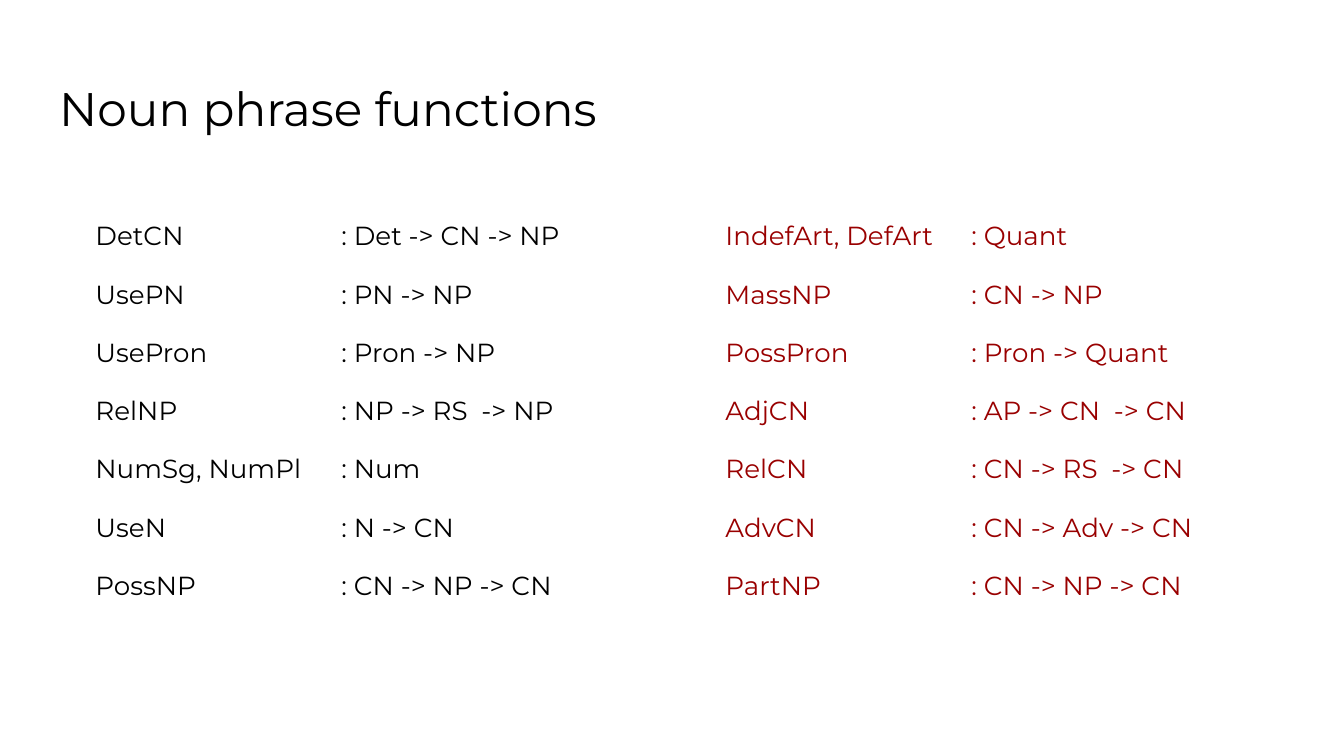
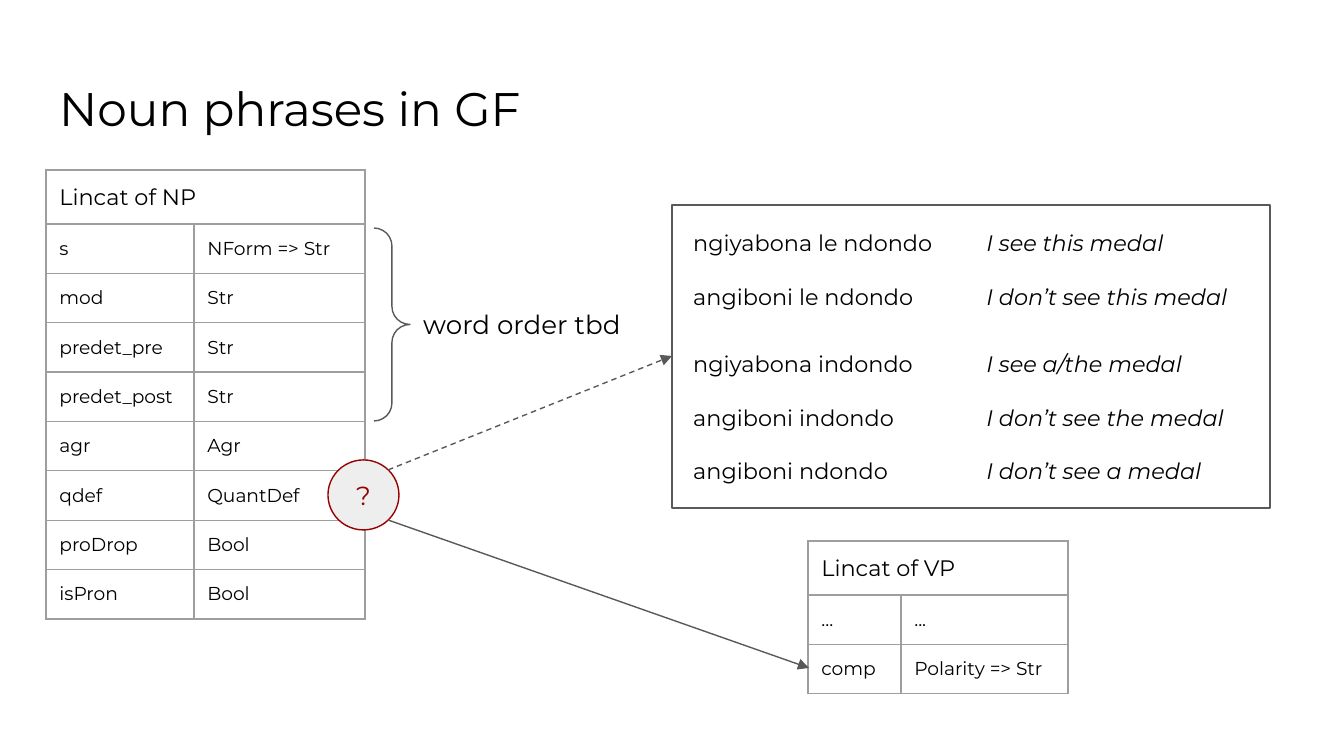
from lxml import etree
from pptx import Presentation
from pptx.dml.color import RGBColor
from pptx.enum.dml import MSO_LINE_DASH_STYLE as Dash
from pptx.enum.shapes import MSO_CONNECTOR as Connector, MSO_SHAPE as Shape
from pptx.enum.text import MSO_ANCHOR as Anchor, PP_ALIGN as Align
from pptx.oxml.ns import qn
from pptx.util import Emu, Pt

COLORS = {
    "text": "000000",
    "highlight": "990000",
    "question": "980000",
    "circle": "EEEEEE",
    "line": "595959",
    "grid": "9E9E9E",
}
FONT = "Montserrat"
LINE_WIDTH = Pt(0.75)
INSET = Pt(7.2)
NO_STYLE = "{2D5ABB26-0587-4C30-8999-92F81FD0307C}"

BLACK_FUNCTIONS = [
    ("DetCN", ": Det -> CN -> NP"),
    ("UsePN", ": PN -> NP"),
    ("UsePron", ": Pron -> NP"),
    ("RelNP", ": NP -> RS  -> NP"),
    ("NumSg, NumPl", ": Num"),
    ("UseN", ": N -> CN"),
    ("PossNP", ": CN -> NP -> CN"),
]
RED_FUNCTIONS = [
    ("IndefArt, DefArt", ": Quant"),
    ("MassNP", ": CN -> NP"),
    ("PossPron", ": Pron -> Quant"),
    ("AdjCN", ": AP -> CN  -> CN"),
    ("RelCN", ": CN -> RS  -> CN"),
    ("AdvCN", ": CN -> Adv -> CN"),
    ("PartNP", ": CN -> NP -> CN"),
]
NP_FIELDS = [
    ("s", "NForm => Str"),
    ("mod", "Str"),
    ("predet_pre", "Str"),
    ("predet_post", "Str"),
    ("agr", "Agr"),
    ("qdef", "QuantDef"),
    ("proDrop", "Bool"),
    ("isPron", "Bool"),
]
VP_FIELDS = [("...", "..."), ("comp", "Polarity => Str")]

# Sentence groups: top, height, (left sentence, right sentence) pairs
SENTENCES = [
    (212, 113, [
        ("ngiyabona le ndondo", "I see this medal"),
        ("angiboni le ndondo", "I don’t see this medal"),
    ]),
    (333, 167, [
        ("ngiyabona indondo", "I see a/the medal"),
        ("angiboni indondo", "I don’t see the medal"),
        ("angiboni ndondo", "I don’t see a medal"),
    ]),
]


def px(length):
    return Emu(round(length * 914400 / 134.4))


def rgb(name):
    return RGBColor.from_string(COLORS[name])


def write(paragraph, text, size, color="text", italic=False):
    run = paragraph.add_run()
    run.text = text
    run.font.name = FONT
    run.font.size = Pt(size)
    run.font.italic = italic
    run.font.color.rgb = rgb(color)


def set_insets(frame):
    frame.margin_left = frame.margin_right = INSET
    frame.margin_top = frame.margin_bottom = INSET


def add_text(slide, box, lines, size, italic=False, spacing=None):
    frame = slide.shapes.add_textbox(*map(px, box)).text_frame
    frame.word_wrap = True
    set_insets(frame)
    for index, line in enumerate(lines):
        paragraph = frame.add_paragraph() if index else frame.paragraphs[0]
        if spacing:
            paragraph.line_spacing = spacing
            paragraph.space_before = Pt(12 if index else 0)
            paragraph.space_after = Pt(12 if index == len(lines) - 1 else 0)
        write(paragraph, line, size, italic=italic)


def add_titled_slide(deck, title):
    slide = deck.slides.add_slide(deck.slide_layouts[6])
    add_text(slide, (46, 66, 1252, 85), [title], 25.2)
    return slide


def add_shape(slide, kind, box, line="line", fill=None):
    shape = slide.shapes.add_shape(kind, *map(px, box))
    shape.shadow.inherit = False
    if fill:
        shape.fill.solid()
        shape.fill.fore_color.rgb = rgb(fill)
    else:
        shape.fill.background()
    shape.line.color.rgb = rgb(line)
    shape.line.width = LINE_WIDTH
    return shape


def add_arrow(slide, start, end, dashed=False):
    arrow = slide.shapes.add_connector(
        Connector.STRAIGHT, *map(px, start), *map(px, end))
    arrow.line.color.rgb = rgb("line")
    arrow.line.width = LINE_WIDTH
    if dashed:
        arrow.line.dash_style = Dash.DASH
    etree.SubElement(arrow.line._get_or_add_ln(), qn("a:tailEnd"), type="triangle")
    etree.SubElement(arrow._element.spPr, qn("a:effectLst"))


def add_borders(cell):
    properties = cell._tc.get_or_add_tcPr()
    for index, side in enumerate(("lnL", "lnR", "lnT", "lnB")):
        border = etree.Element(qn("a:" + side), w=str(LINE_WIDTH))
        fill = etree.SubElement(border, qn("a:solidFill"))
        etree.SubElement(fill, qn("a:srgbClr"), val=COLORS["grid"])
        properties.insert(index, border)


def add_plain_table(slide, left, top, widths, heights):
    frame = slide.shapes.add_table(
        len(heights), len(widths), px(left), px(top),
        px(sum(widths)), px(sum(heights)))
    table = frame.table
    table.first_row = table.horz_banding = False
    table._tbl.tblPr.find(qn("a:tableStyleId")).text = NO_STYLE
    for column, width in zip(table.columns, widths):
        column.width = px(width)
    for row, height in zip(table.rows, heights):
        row.height = px(height)
    return table


def fill_cell(cell, text, size, color="text", bordered=False):
    set_insets(cell)
    cell.fill.background()
    if bordered:
        add_borders(cell)
    if text:
        write(cell.text_frame.paragraphs[0], text, size, color)


def add_function_table(slide, left, functions, color):
    table = add_plain_table(slide, left, 207, (246, 297), [57] * len(functions))
    for row, signature in enumerate(functions):
        for column, text in enumerate(signature):
            fill_cell(table.cell(row, column), text, 14, color)


def add_lincat_table(slide, left, top, widths, heading, fields):
    table = add_plain_table(slide, left, top, widths, [54] + [38] * len(fields))
    table.cell(0, 0).merge(table.cell(0, 1))
    for row, texts in enumerate([(heading, "")] + fields):
        for column, text in enumerate(texts):
            fill_cell(table.cell(row, column), text, 10 if row else 12, bordered=True)


def build_functions_slide(deck):
    slide = add_titled_slide(deck, "Noun phrase functions")
    add_function_table(slide, 82, BLACK_FUNCTIONS, "text")
    add_function_table(slide, 712, RED_FUNCTIONS, "highlight")


def build_lincat_slide(deck):
    slide = add_titled_slide(deck, "Noun phrases in GF")

    # Lincat of NP, with its word order note
    add_lincat_table(slide, 46, 170, (148, 171), "Lincat of NP", NP_FIELDS)
    brace = add_shape(slide, Shape.RIGHT_BRACE, (374, 228, 36, 193))
    brace.adjustments[0] = 0.5
    add_text(slide, (410, 295, 242, 59), ["word order tbd"], 14)

    # Question mark on the qdef field
    question = add_shape(slide, Shape.OVAL, (328, 460, 71, 70), "question", "circle")
    set_insets(question.text_frame)
    question.text_frame.vertical_anchor = Anchor.MIDDLE
    mark = question.text_frame.paragraphs[0]
    mark.alignment = Align.CENTER
    write(mark, "?", 14, "question")

    # Framed sentences
    add_shape(slide, Shape.RECTANGLE, (672, 205, 598, 303))
    for top, height, pairs in SENTENCES:
        left_lines, right_lines = zip(*pairs)
        add_text(slide, (680, top, 286, height), left_lines, 12, spacing=1.15)
        add_text(slide, (973, top, 286, height), right_lines, 12, True, 1.15)

    # Lincat of VP, and arrows from the question mark
    add_lincat_table(slide, 808, 541, (93, 167), "Lincat of VP", VP_FIELDS)
    add_arrow(slide, (388, 470), (672, 356), dashed=True)
    add_arrow(slide, (388, 520), (809, 668))


def main():
    deck = Presentation()
    deck.slide_width, deck.slide_height = px(1344), px(756)
    build_functions_slide(deck)
    build_lincat_slide(deck)
    deck.save("out.pptx")


main()
